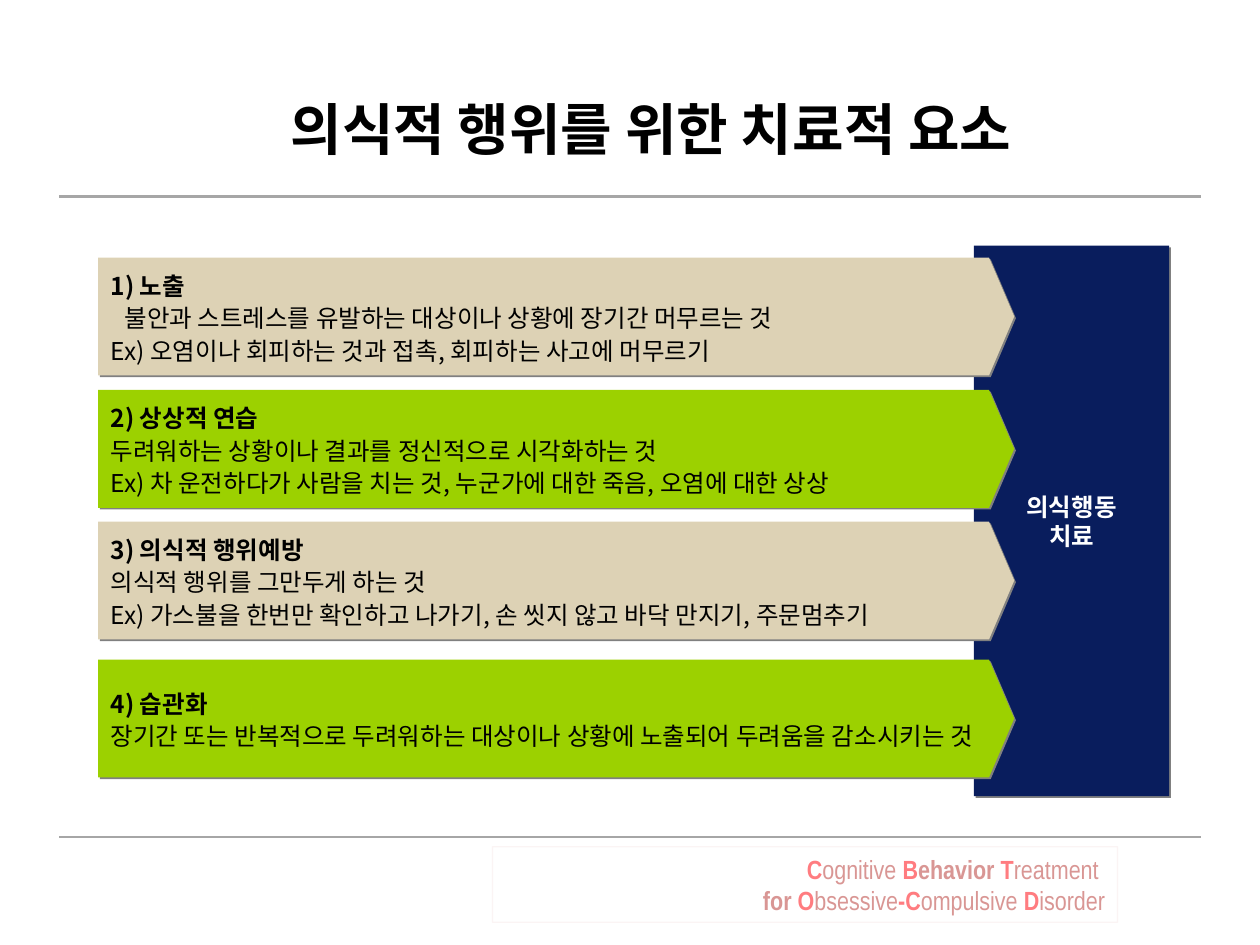
from dataclasses import dataclass

from lxml import etree
from pptx import Presentation
from pptx import util as u
from pptx.dml.color import RGBColor
from pptx.enum import shapes, text
from pptx.oxml.ns import qn

KOREAN, LATIN = "Noto Sans CJK KR", "Arial Narrow"
BLACK, WHITE, GRAY, SHADOW = "000000", "FFFFFF", "A6A6A6", "808080"
NAVY, SAND, GREEN = "091D5D", "DDD2B5", "9CD100"
CORAL, ROSE = "FF7C80", "D99694"

# Grid of 100 columns by 75 rows
presentation = Presentation()
presentation.slide_width, presentation.slide_height = u.Inches(10), u.Inches(7.5)
COLUMN = presentation.slide_width / 100
ROW = presentation.slide_height / 75
slide = presentation.slides.add_slide(presentation.slide_layouts[6])


@dataclass
class Box:
    left: float
    top: float
    width: float
    height: float

    def place(self) -> tuple[int, int, int, int]:
        return (round(self.left * COLUMN), round(self.top * ROW),
                round(self.width * COLUMN), round(self.height * ROW))


@dataclass
class Run:
    words: str
    bold: bool = False
    color: str = BLACK


@dataclass
class Line:
    runs: list[Run]
    left_margin: float = 0  # columns
    right_margin: float = 0


@dataclass
class Step:
    top: float
    fill: str
    heading: str
    details: list[str]
    indent: float = 0


def rgb(color: str) -> RGBColor:
    return RGBColor.from_string(color)


def write(shape, lines: list[Line], *, size: float, font: str = KOREAN,
          align=text.PP_ALIGN.LEFT, anchor=text.MSO_ANCHOR.MIDDLE,
          spacing: float = 1.0, inset: float = 0.1) -> None:
    frame = shape.text_frame
    frame.word_wrap = True
    frame.vertical_anchor = anchor
    frame.margin_left = frame.margin_right = u.Inches(0.1)
    frame.margin_top = frame.margin_bottom = u.Inches(inset)
    for index, line in enumerate(lines):
        paragraph = frame.add_paragraph() if index else frame.paragraphs[0]
        paragraph.alignment = align
        paragraph.line_spacing = spacing
        properties = paragraph._p.get_or_add_pPr()
        properties.set("marL", str(round(line.left_margin * COLUMN)))
        properties.set("marR", str(round(line.right_margin * COLUMN)))
        for part in line.runs:
            run = paragraph.add_run()
            run.text = part.words
            run.font.size = u.Pt(size)
            run.font.name = font
            run.font.bold = part.bold
            run.font.color.rgb = rgb(part.color)
            east_asian = etree.SubElement(run._r.get_or_add_rPr(), qn("a:ea"))
            east_asian.set("typeface", font)


def paint(shape, fill: str) -> None:
    """Fill a shape and give it a hard gray shadow at the lower right."""
    shape.fill.solid()
    shape.fill.fore_color.rgb = rgb(fill)
    shape.line.fill.background()
    shape.shadow.inherit = False
    effects = shape._element.spPr.find(qn("a:effectLst"))
    shadow = etree.SubElement(effects, qn("a:outerShdw"), blurRad="0",
                              dist=str(u.Pt(1.4)), dir="2700000", algn="ctr", rotWithShape="0")
    etree.SubElement(shadow, qn("a:srgbClr"), val=SHADOW)


def draw_rule(row: float) -> None:
    y = round(row * ROW)
    rule = slide.shapes.add_connector(shapes.MSO_CONNECTOR.STRAIGHT,
                                      round(4.7 * COLUMN), y, round(95.3 * COLUMN), y)
    rule.line.color.rgb = rgb(GRAY)
    rule.line.width = u.Pt(1.25)
    etree.SubElement(rule._element.spPr, qn("a:effectLst"))


def draw_step(step: Step) -> None:
    left, shoulder, tip, height = 7.8, 78.5, 80.5, 9.35
    bottom = step.top + height
    points = [(shoulder, step.top), (tip, step.top + height / 2),
              (shoulder, bottom), (left, bottom)]
    builder = slide.shapes.build_freeform(round(left * COLUMN), round(step.top * ROW))
    builder.add_line_segments([(round(x * COLUMN), round(y * ROW)) for x, y in points], close=True)
    arrow = builder.convert_to_shape()
    paint(arrow, step.fill)
    lines = [Line([Run(step.heading, bold=True)])]
    lines += [Line([Run(detail)], left_margin=step.indent if index == 0 else 0)
              for index, detail in enumerate(step.details)]
    write(arrow, lines, size=14, spacing=1.1)


# Rules and title
for rule_row in (66.4, 15.6):
    draw_rule(rule_row)
title = slide.shapes.add_textbox(*Box(11.7, 3.9, 80, 12.5).place())
write(title, [Line([Run("의식적 행위를 위한 치료적 요소", bold=True)])],
      size=32, align=text.PP_ALIGN.CENTER)

# Footer with a faint frame
footer = slide.shapes.add_shape(shapes.MSO_SHAPE.RECTANGLE, *Box(39.1, 67.2, 49.6, 6).place())
footer.shadow.inherit = False
footer.fill.background()
footer.line.color.rgb = rgb(ROSE)
footer.line.width = u.Pt(0.75)
frame_color = footer._element.spPr.find(qn("a:ln")).find(".//" + qn("a:srgbClr"))
etree.SubElement(frame_color, qn("a:alpha"), val="10000")
write(footer, [
    Line([Run("C", True, CORAL), Run("ognitive", False, ROSE), Run(" B", True, CORAL),
          Run("ehavior", True, ROSE), Run(" T", True, CORAL), Run("reatment", False, ROSE)],
         right_margin=0.5),
    Line([Run("for", True, ROSE), Run(" O", True, CORAL), Run("bsessive", False, ROSE),
          Run("-C", True, CORAL), Run("ompulsive", False, ROSE), Run(" D", True, CORAL),
          Run("isorder", False, ROSE)]),
], size=15, font=LATIN, align=text.PP_ALIGN.RIGHT, anchor=text.MSO_ANCHOR.TOP, inset=0.05)

# Therapy panel behind the arrow tips
panel = slide.shapes.add_shape(shapes.MSO_SHAPE.RECTANGLE, *Box(77.3, 19.5, 15.5, 43.7).place())
paint(panel, NAVY)
write(panel, [Line([Run(words, True, WHITE)]) for words in ("의식행동", "치료")],
      size=14, align=text.PP_ALIGN.CENTER)

# Treatment elements
STEPS = [
    Step(20.45, SAND, "1) 노출",
         ["불안과 스트레스를 유발하는 대상이나 상황에 장기간 머무르는 것",
          "Ex) 오염이나 회피하는 것과 접촉, 회피하는 사고에 머무르기"], indent=1.1),
    Step(30.95, GREEN, "2) 상상적 연습",
         ["두려워하는 상황이나 결과를 정신적으로 시각화하는 것",
          "Ex) 차 운전하다가 사람을 치는 것, 누군가에 대한 죽음, 오염에 대한 상상"]),
    Step(41.4, SAND, "3) 의식적 행위예방",
         ["의식적 행위를 그만두게 하는 것",
          "Ex) 가스불을 한번만 확인하고 나가기, 손 씻지 않고 바닥 만지기, 주문멈추기"]),
    Step(52.35, GREEN, "4) 습관화",
         ["장기간 또는 반복적으로 두려워하는 대상이나 상황에 노출되어 두려움을 감소시키는 것"]),
]
for step in STEPS:
    draw_step(step)

presentation.save("out.pptx")
